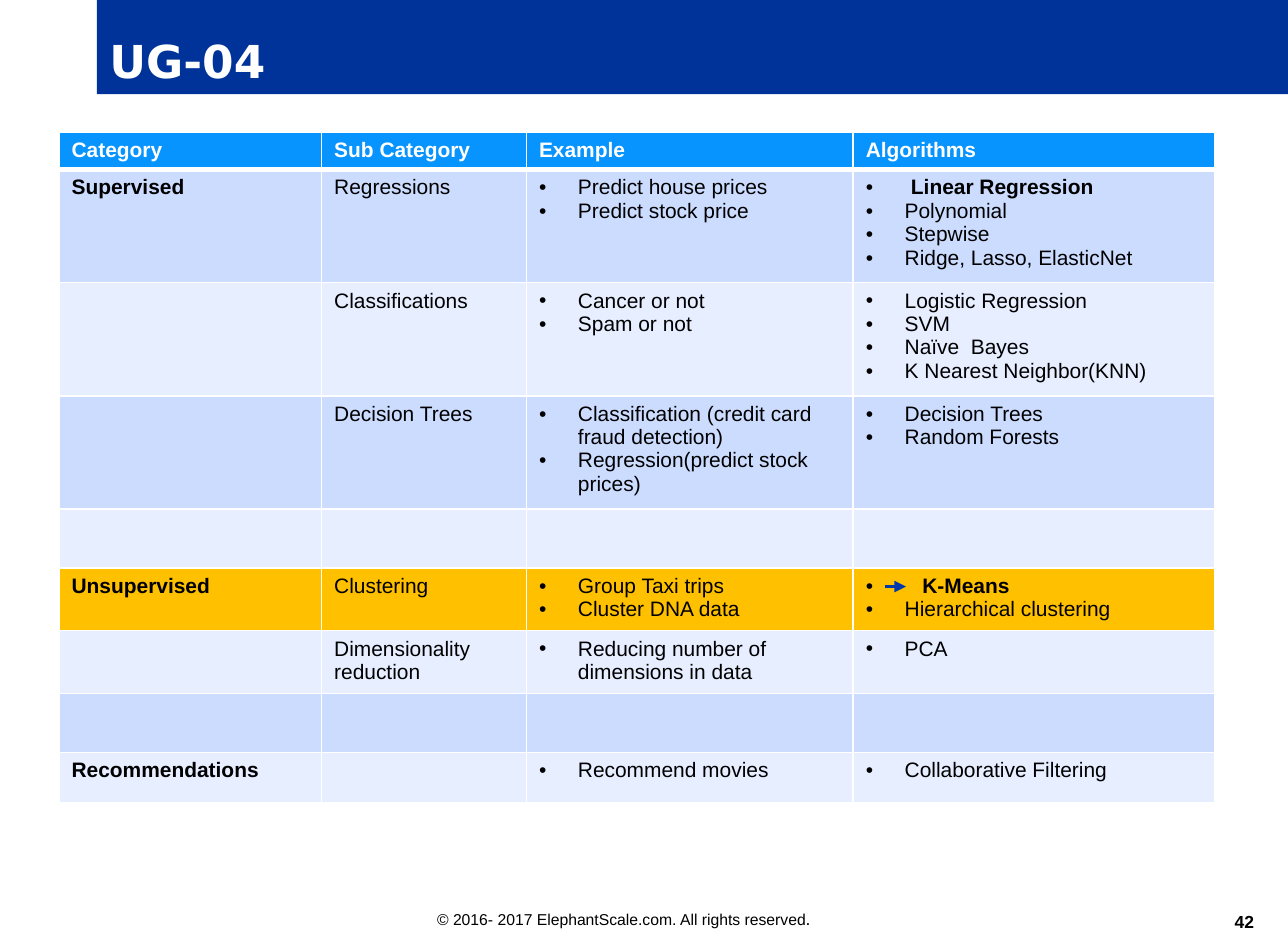
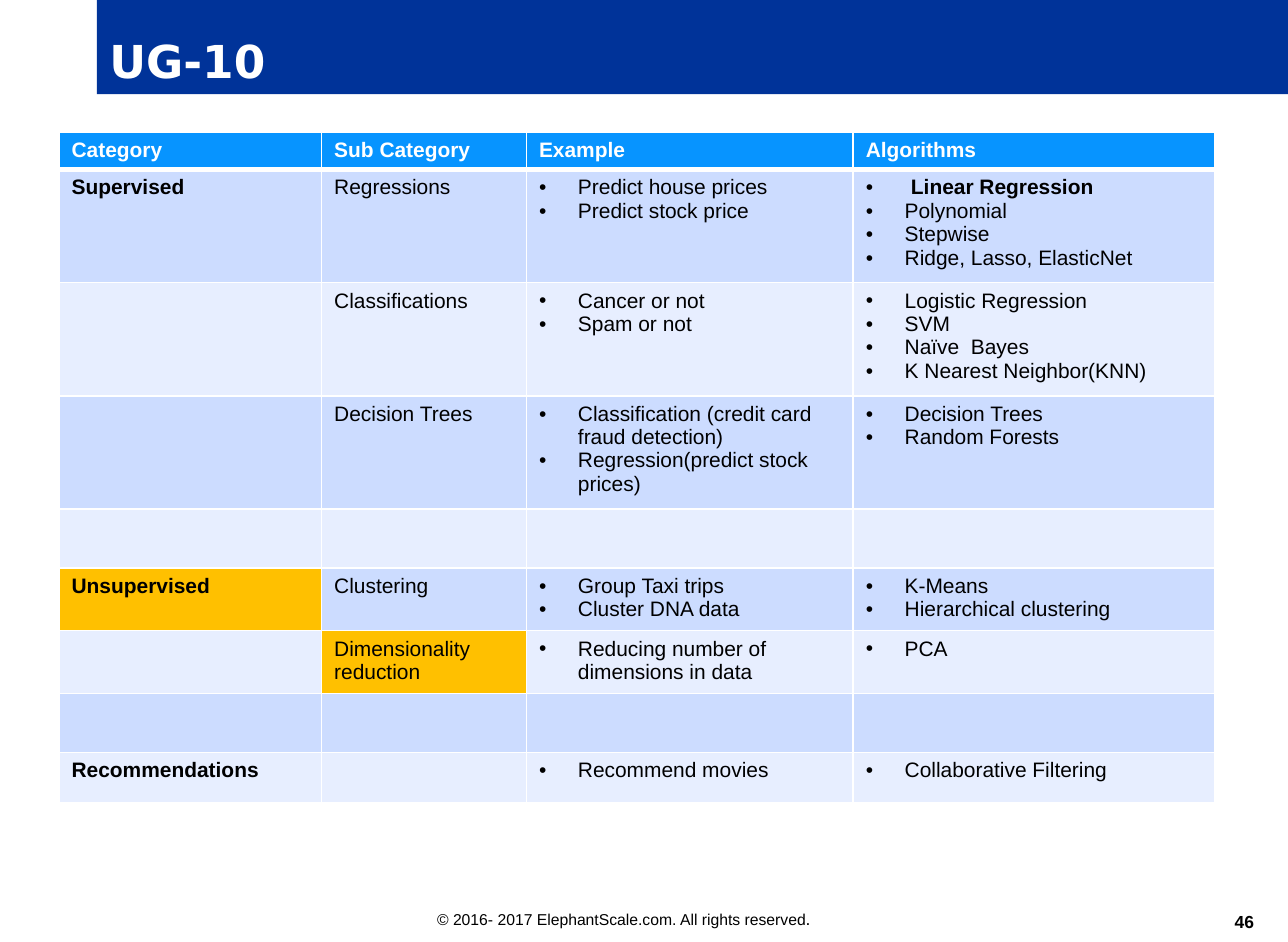
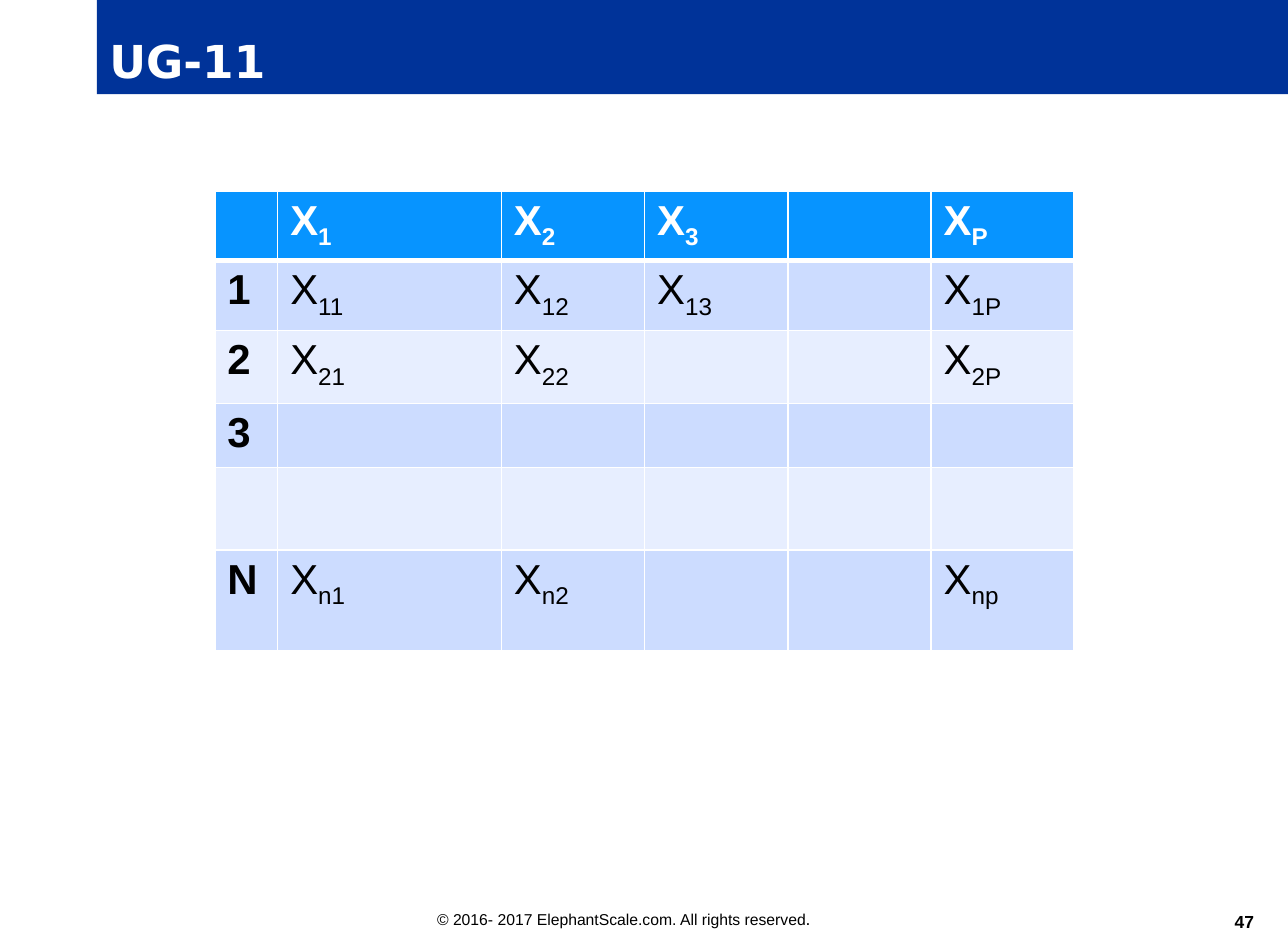
"""Build three slides: two maps of machine learning topics and one data matrix."""
from collections import namedtuple

from lxml import etree
from pptx import Presentation, util as u
from pptx.dml.color import RGBColor
from pptx.enum import shapes, text
from pptx.oxml.ns import qn

PX = 9144
COLORS = dict(band="003399", header="0794FF", odd="CCDCFF", even="E7EEFF",
              highlight="FFC000", arrow="0039AB", ink="000000", white="FFFFFF")
BAND = (77, 0, 948, 75)
FOOTER = (338, 718, 465, 26)
NUMBER = (938, 717, 60, 25)
COPYRIGHT = "© 2016- 2017 ElephantScale.com. All rights reserved"
TITLE_FONT = dict(name="DejaVu Sans", size=u.Pt(26), bold=True)
BULLET_INDENT = 31
THIN, THICK = 0.96, 3

Key = namedtuple("Key", "text extra_indent")


def topic_rows(kmeans):
    return [
        ["Category", "Sub Category", "Example", "Algorithms"],
        ["Supervised", "Regressions", ("Predict house prices", "Predict stock price"),
         (Key("Linear Regression", 5), "Polynomial", "Stepwise", "Ridge, Lasso, ElasticNet")],
        ["", "Classifications", ("Cancer or not", "Spam or not"),
         ("Logistic Regression", "SVM", "Naïve  Bayes", "K Nearest Neighbor(KNN)")],
        ["", "Decision Trees",
         ("Classification (credit card fraud detection)", "Regression(predict stock prices)"),
         ("Decision Trees", "Random Forests")],
        ["", "", "", ""],
        ["Unsupervised", "Clustering", ("Group Taxi trips", "Cluster DNA data"),
         (kmeans, "Hierarchical clustering")],
        ["", ("Dimensionality", "reduction"), "Reducing number of dimensions in data", "PCA"],
        ["", "", "", ""],
        ["Recommendations", "", "Recommend movies", "Collaborative Filtering"],
    ]


MATRIX_ROWS = [
    ["", "X_1", "X_2", "X_3", "", "X_P"],
    ["1", "X_11", "X_12", "X_13", "", "X_1P"],
    ["2", "X_21", "X_22", "", "", "X_2P"],
    ["3", "", "", "", "", ""],
    ["", "", "", "", "", ""],
    ["N", "X_n1", "X_n2", "", "", "X_np"],
]
TOPIC_GRID = dict(origin=(47, 105), widths=[209, 163, 260, 288],
                  heights=[29] + [85] * 3 + [47] * 4 + [37], size=12, bullet_columns=(2, 3))
MATRIX_GRID = dict(origin=(171, 152), widths=[50, 178] + [114] * 4,
                   heights=[53, 55, 58, 51, 66, 80], size=24, bullet_columns=())
SLIDES = [
    dict(title="UG-04", number="42", rows=topic_rows(Key("K-Means", 14)), grid=TOPIC_GRID,
         highlights={(5, column) for column in range(4)}, arrow=(704, 467, 721, 467)),
    dict(title="UG-10", number="46", rows=topic_rows("K-Means"), grid=TOPIC_GRID,
         highlights={(5, 0), (6, 1)}),
    dict(title="UG-11", number="47", rows=MATRIX_ROWS, grid=MATRIX_GRID),
]


def emu(lengths):
    return [length * PX for length in lengths]


def rgb(color):
    return RGBColor.from_string(COLORS[color])


def paint(target, color):
    target.fill.solid()
    target.fill.fore_color.rgb = rgb(color)


def set_all(target, **values):
    for name, value in values.items():
        setattr(target, name, value)


def add_run(paragraph, words, color, **font):
    run = paragraph.add_run()
    run.text = words
    set_all(run.font, **{"name": "Arial", **font})
    run.font.color.rgb = rgb(color)
    return run


def add_bullet(paragraph, extra_indent):
    indent = (BULLET_INDENT + extra_indent) * PX
    properties = paragraph._p.get_or_add_pPr()
    properties.set("marL", str(indent))
    properties.set("indent", str(-indent))
    etree.SubElement(properties, qn("a:buFont"), typeface="Arial")
    etree.SubElement(properties, qn("a:buChar"), char="•")


def add_borders(cell, row):
    properties = cell._tc.get_or_add_tcPr()
    for side in "LRTB":
        heavy = (row, side) in ((0, "B"), (1, "T"))
        line = etree.SubElement(properties, qn("a:ln" + side),
                                w=str(int(u.Pt(THICK if heavy else THIN))))
        fill = etree.SubElement(line, qn("a:solidFill"))
        etree.SubElement(fill, qn("a:srgbClr"), val=COLORS["white"])


def fill_cell(cell, content, size, color, bold, bulleted):
    items = [content] if isinstance(content, str) else content
    for index, item in enumerate(items):
        is_key = isinstance(item, Key)
        words, extra_indent = item if is_key else (item, 0)
        if not words:
            continue
        frame = cell.text_frame
        paragraph = frame.add_paragraph() if index else frame.paragraphs[0]
        if bulleted:
            add_bullet(paragraph, extra_indent)
        font = dict(size=u.Pt(size), bold=bold or is_key)
        base, _, subscript = words.partition("_")
        add_run(paragraph, base, color, **font)
        if subscript:
            run = add_run(paragraph, subscript, color, **font)
            run._r.get_or_add_rPr().set("baseline", "-25000")


def add_grid(slide, rows, grid, highlights):
    widths, heights = grid["widths"], grid["heights"]
    frame = (*grid["origin"], sum(widths), sum(heights))
    table = slide.shapes.add_table(len(rows), len(widths), *emu(frame)).table
    for column, width in zip(table.columns, emu(widths)):
        column.width = width
    for line, height in zip(table.rows, emu(heights)):
        line.height = height
    for row, contents in enumerate(rows):
        band = "header" if row == 0 else "odd" if row % 2 else "even"
        for column, content in enumerate(contents):
            cell = table.cell(row, column)
            add_borders(cell, row)
            paint(cell, "highlight" if (row, column) in highlights else band)
            fill_cell(cell, content, grid["size"], "ink" if row else "white",
                      bold=row == 0 or column == 0,
                      bulleted=row > 0 and column in grid["bullet_columns"])


def add_arrow(slide, ends):
    arrow = slide.shapes.add_connector(shapes.MSO_CONNECTOR.STRAIGHT, *emu(ends))
    arrow.line.color.rgb = rgb("arrow")
    arrow.line.width = u.Pt(2.25)
    etree.SubElement(arrow.line._get_or_add_ln(), qn("a:tailEnd"), type="triangle")
    etree.SubElement(arrow._element.spPr, qn("a:effectLst"))


def add_frame(deck, title, number):
    slide = deck.slides.add_slide(deck.slide_layouts[5])
    heading = slide.shapes.title
    set_all(heading, **dict(zip(("left", "top", "width", "height"), emu(BAND))))
    paint(heading, "band")
    set_all(heading.text_frame, vertical_anchor=text.MSO_ANCHOR.BOTTOM,
            auto_size=text.MSO_AUTO_SIZE.NONE)
    paragraph = heading.text_frame.paragraphs[0]
    paragraph.alignment = text.PP_ALIGN.LEFT
    add_run(paragraph, title, "white", **TITLE_FONT)

    footer = slide.shapes.add_textbox(*emu(FOOTER)).text_frame
    footer.word_wrap = True
    for words, size in ((COPYRIGHT, 9), (".", 10)):
        add_run(footer.paragraphs[0], words, "ink", size=u.Pt(size))

    page = slide.shapes.add_textbox(*emu(NUMBER)).text_frame
    set_all(page, word_wrap=True, vertical_anchor=text.MSO_ANCHOR.BOTTOM,
            margin_left=0, margin_right=0, margin_top=0, margin_bottom=0)
    page.paragraphs[0].alignment = text.PP_ALIGN.RIGHT
    add_run(page.paragraphs[0], number, "ink", size=u.Pt(10), bold=True)
    return slide


def main():
    deck = Presentation()
    deck.slide_width, deck.slide_height = emu((1025, 750))
    for content in SLIDES:
        slide = add_frame(deck, content["title"], content["number"])
        add_grid(slide, content["rows"], content["grid"], content.get("highlights", ()))
        if "arrow" in content:
            add_arrow(slide, content["arrow"])
    deck.save("out.pptx")


if __name__ == "__main__":
    main()
